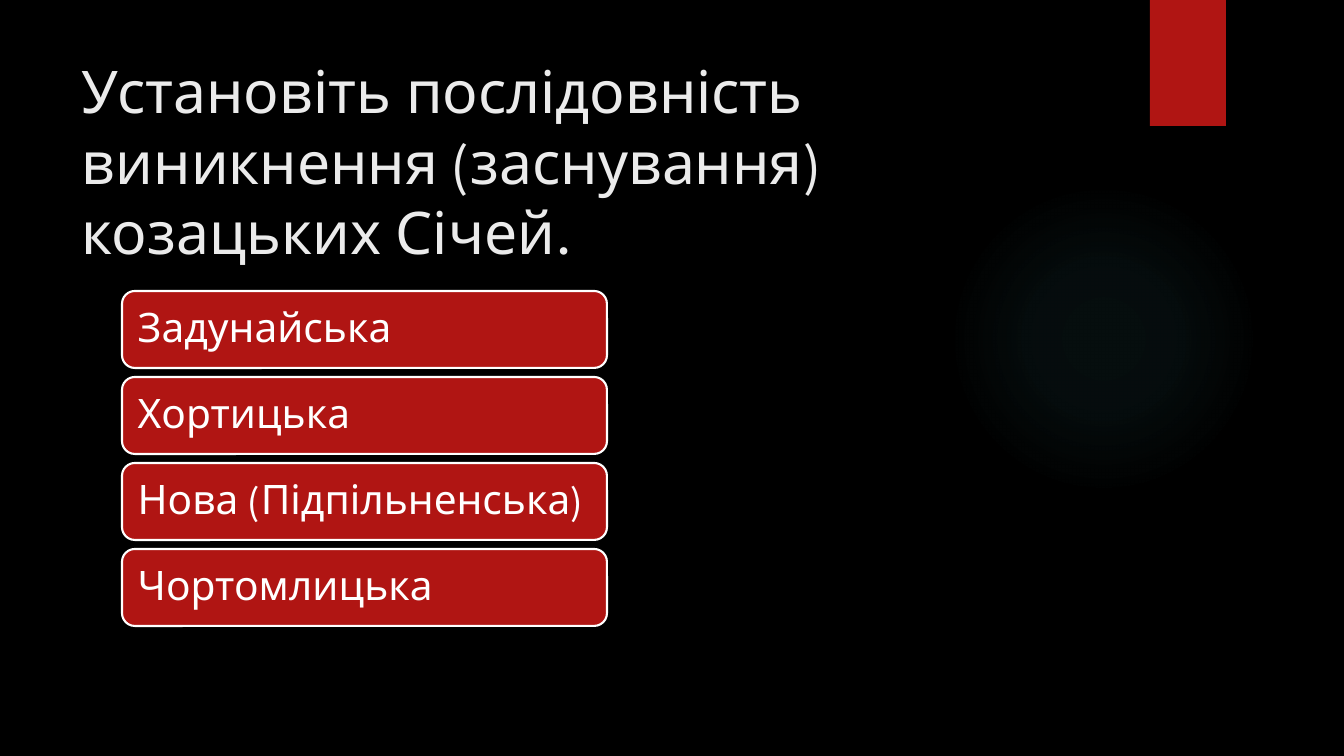
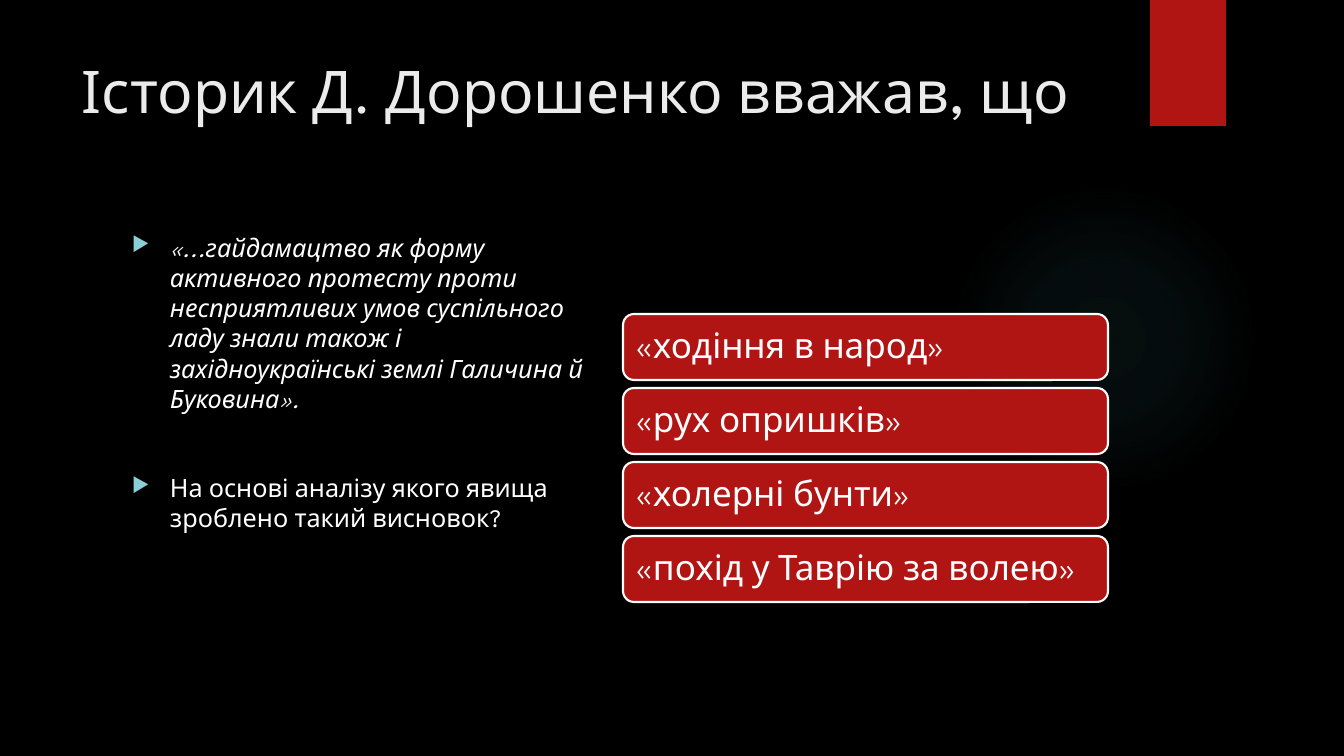
from pptx import Presentation
from pptx.dml.color import RGBColor
from pptx.enum.shapes import MSO_SHAPE
from pptx.enum.text import MSO_ANCHOR, PP_ALIGN
from pptx.oxml import parse_xml
from pptx.oxml.ns import nsdecls, qn
from pptx.util import Emu, Pt

EMU_PER_PX = 12192000 / 1344
FONT = "League Spartan"
COLORS = {
    "background": "000000",
    "accent": "B01513",
    "glow": "50B9C1",
    "title": "EBEBEB",
    "text": "FFFFFF",
    "bullet": "8AD0D6",
}
SLIDE_SIZE = (1344, 756)
GLOW_BOX = (949, 184, 310, 310)
RIBBON_BOX = (1150, 0, 76, 126)
TITLE_BOX = (72, 50, 1037, 154)
GLOW_STOPS = ((0, 7), (36, 6), (69, 0))


def px(length):
    return Emu(round(length * EMU_PER_PX))


def place(box):
    return [px(length) for length in box]


def color(name):
    return RGBColor.from_string(COLORS[name])


def style(paragraph, size, color_name, italic=False):
    font = paragraph.font
    font.name = FONT
    font.size = Pt(size)
    font.italic = italic
    font.color.rgb = color(color_name)


def add_plain_shape(slide, kind, box):
    shape = slide.shapes.add_shape(kind, *place(box))
    shape.shadow.inherit = False
    shape.line.fill.background()
    return shape


def add_glow(slide, box):
    glow = add_plain_shape(slide, MSO_SHAPE.OVAL, box)
    glow.fill.background()
    stops = "".join(
        f'<a:gs pos="{position * 1000}"><a:srgbClr val="{COLORS["glow"]}">'
        f'<a:alpha val="{alpha * 1000}"/></a:srgbClr></a:gs>'
        for position, alpha in GLOW_STOPS
    )
    gradient = parse_xml(
        f'<a:gradFill {nsdecls("a")} rotWithShape="1"><a:gsLst>{stops}</a:gsLst>'
        '<a:path path="circle"><a:fillToRect l="50000" t="50000" r="50000" b="50000"/>'
        "</a:path></a:gradFill>"
    )
    properties = glow._element.spPr
    properties.replace(properties.find(qn("a:noFill")), gradient)


def add_ribbon(slide, box):
    ribbon = add_plain_shape(slide, MSO_SHAPE.RECTANGLE, box)
    ribbon.fill.solid()
    ribbon.fill.fore_color.rgb = color("accent")


def add_text_frame(slide, box):
    frame = slide.shapes.add_textbox(*place(box)).text_frame
    frame.word_wrap = True
    return frame


def add_title(slide, box, title):
    paragraph = add_text_frame(slide, box).paragraphs[0]
    paragraph.text = title
    style(paragraph, 42, "title")


def add_bullet(paragraph):
    properties = paragraph._p.get_or_add_pPr()
    properties.set("marL", str(px(38)))
    properties.set("indent", str(-px(38)))
    for element in (
        f'<a:buClr {nsdecls("a")}><a:srgbClr val="{COLORS["bullet"]}"/></a:buClr>',
        f'<a:buSzPct {nsdecls("a")} val="80000"/>',
        f'<a:buChar {nsdecls("a")} char="▶"/>',
    ):
        properties.append(parse_xml(element))


def add_quote(slide, box, quote, question):
    frame = add_text_frame(slide, box)
    quote_line = frame.paragraphs[0]
    question_line = frame.add_paragraph()
    for paragraph, text, italic in (
        (quote_line, quote, True),
        (question_line, question, False),
    ):
        add_bullet(paragraph)
        paragraph.text = text
        style(paragraph, 18, "text", italic)
    question_line.space_before = Pt(42)


def add_answers(slide, box, answers, gap, inset, size):
    left, top, width, height = box
    answer_height = (height - gap * (len(answers) - 1)) / len(answers)
    for index, text in enumerate(answers):
        answer_top = top + index * (answer_height + gap)
        answer = add_plain_shape(
            slide, MSO_SHAPE.ROUNDED_RECTANGLE, (left, answer_top, width, answer_height)
        )
        answer.fill.solid()
        answer.fill.fore_color.rgb = color("accent")
        answer.line.color.rgb = color("text")
        answer.line.width = Pt(1.5)
        frame = answer.text_frame
        frame.word_wrap = True
        frame.vertical_anchor = MSO_ANCHOR.MIDDLE
        frame.margin_left = frame.margin_right = px(inset)
        frame.margin_top = frame.margin_bottom = px(inset)
        paragraph = frame.paragraphs[0]
        paragraph.text = text
        paragraph.alignment = PP_ALIGN.LEFT
        paragraph.line_spacing = 0.9
        style(paragraph, size, "text")


def add_base_slide(deck, title):
    slide = deck.slides.add_slide(deck.slide_layouts[6])
    slide.background.fill.solid()
    slide.background.fill.fore_color.rgb = color("background")
    add_glow(slide, GLOW_BOX)
    add_ribbon(slide, RIBBON_BOX)
    add_title(slide, TITLE_BOX, title)
    return slide


def add_sequence_slide(deck):
    slide = add_base_slide(
        deck, "Установіть послідовність виникнення (заснування) козацьких Січей."
    )
    sich_names = ("Задунайська", "Хортицька", "Нова (Підпільненська)", "Чортомлицька")
    add_answers(slide, (122, 291, 485, 335), sich_names, gap=9, inset=12, size=29)


def add_historian_slide(deck):
    slide = add_base_slide(deck, "Історик Д. Дорошенко вважав, що")
    add_quote(
        slide,
        (122, 227, 485, 463),
        "«...гайдамацтво як форму активного протесту проти несприятливих умов "
        "суспільного ладу знали також і західноукраїнські землі Галичина й Буковина».",
        "На основі аналізу якого явища зроблено такий висновок?",
    )
    movements = (
        "«ходіння в народ»",
        "«рух опришків»",
        "«холерні бунти»",
        "«похід у Таврію за волею»",
    )
    add_answers(slide, (623, 314, 485, 288), movements, gap=8, inset=10, size=25)


def main():
    deck = Presentation()
    deck.slide_width, deck.slide_height = place(SLIDE_SIZE)
    add_sequence_slide(deck)
    add_historian_slide(deck)
    deck.save("out.pptx")


if __name__ == "__main__":
    main()
